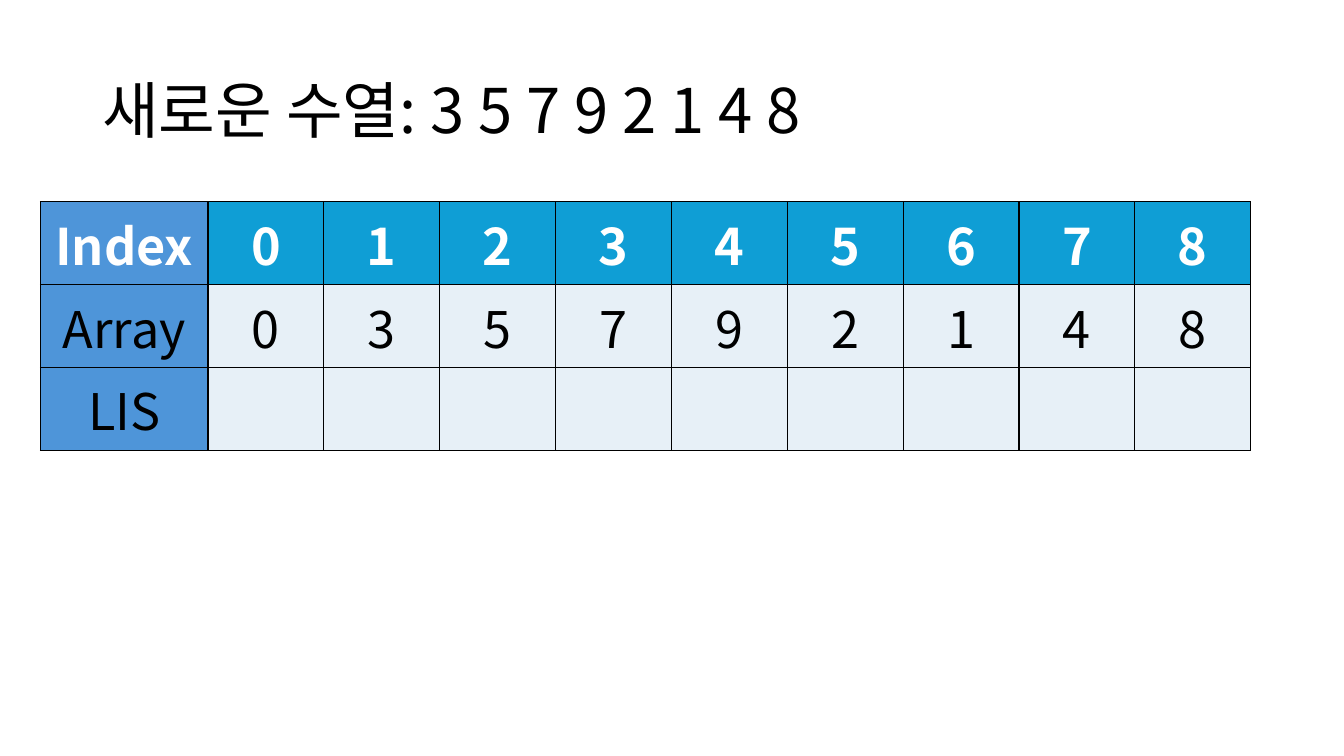
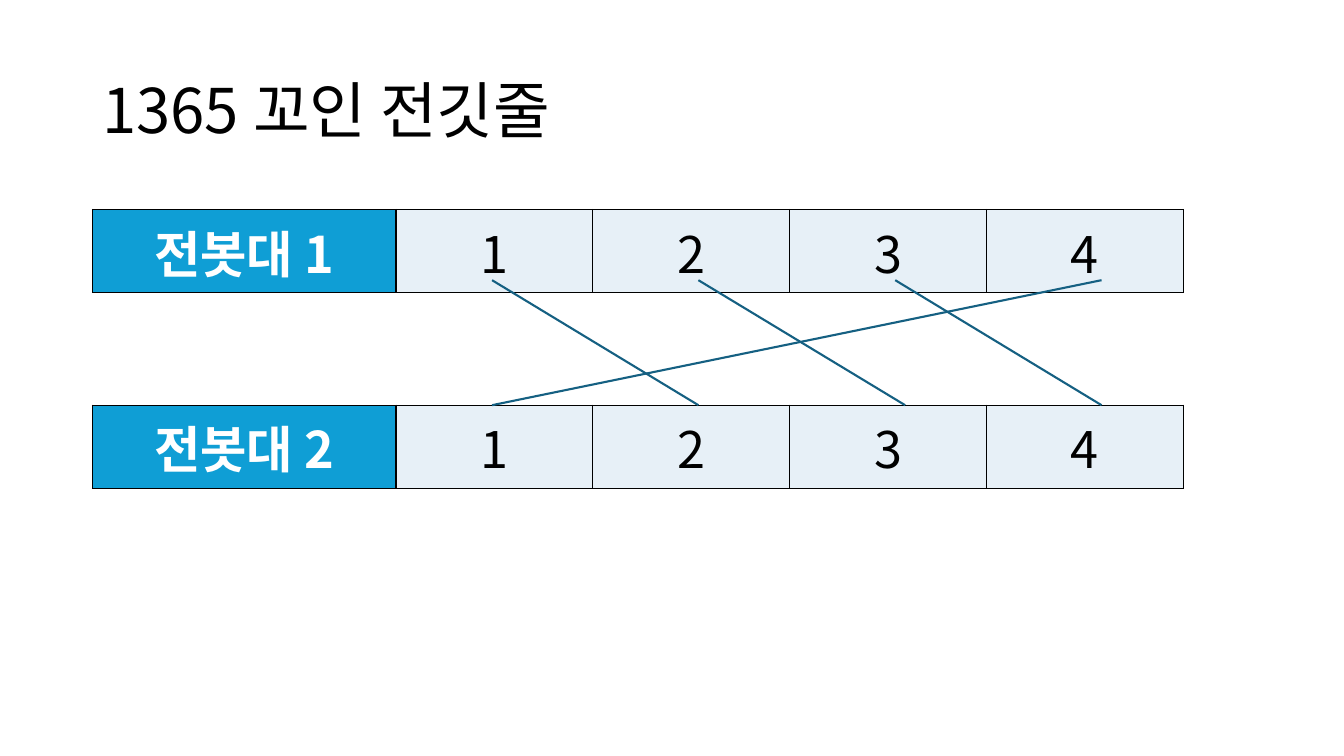
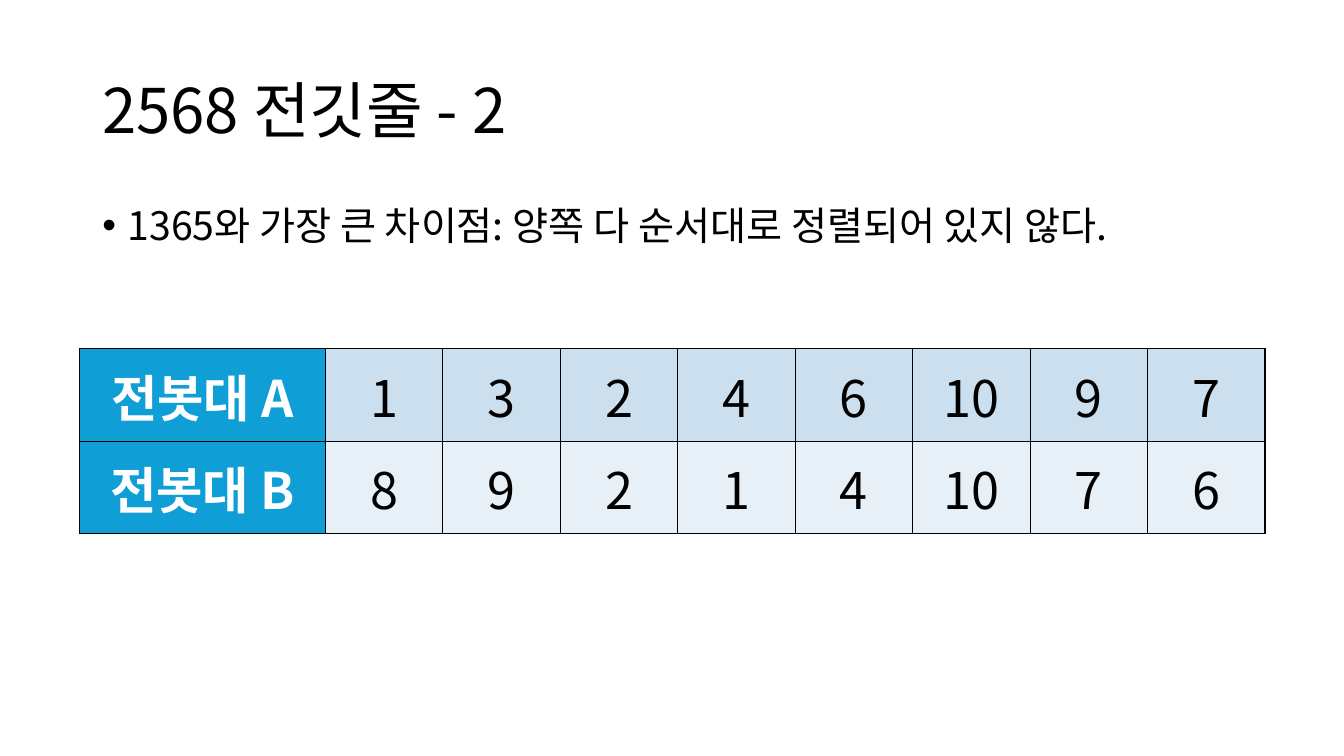
from pptx import Presentation
from pptx.dml.color import RGBColor
from pptx.enum.shapes import MSO_CONNECTOR
from pptx.enum.text import MSO_ANCHOR, PP_ALIGN
from pptx.oxml.ns import qn
from pptx.util import Cm, Pt
from lxml.etree import SubElement

FONT = "Noto Sans CJK KR"
BLACK = RGBColor(0x00, 0x00, 0x00)
WHITE = RGBColor(0xFF, 0xFF, 0xFF)
BLUE = RGBColor(0x0F, 0x9E, 0xD5)
SOFT_BLUE = RGBColor(0x4E, 0x95, 0xD9)
PALE = RGBColor(0xE7, 0xF0, 0xF7)
PALE_DARK = RGBColor(0xCC, 0xDF, 0xEF)
WIRE = RGBColor(0x15, 0x60, 0x82)

MARGIN = 2.33
CONTENT_WIDTH = 29.21
ROW_HEIGHT = 2.09

LIS_ROWS = [
    (["Index", *range(9)], SOFT_BLUE, BLUE, True, True),
    (["Array", 0, 3, 5, 7, 9, 2, 1, 4, 8], SOFT_BLUE, PALE, False, False),
    (["LIS", *[""] * 9], SOFT_BLUE, PALE, False, False),
]
POLES = [("전봇대 1", 5.28), ("전봇대 2", 10.21)]
WIRE_TOP, WIRE_BOTTOM = 7.06, 10.21
WIRE_STARTS = [12.4, 17.6, 22.56, 27.76]
WIRE_ENDS = [17.6, 22.81, 27.76, 12.4]
POLE_ROWS = [
    (["전봇대 A", 1, 3, 2, 4, 6, 10, 9, 7], BLUE, PALE_DARK, True, False),
    (["전봇대 B", 8, 9, 2, 1, 4, 10, 7, 6], BLUE, PALE, True, False),
]


def write(frame, text, size=36, color=BLACK, bold=False, align=PP_ALIGN.LEFT,
          line_spacing=None, bullet=False):
    para = frame.paragraphs[0]
    para.alignment = align
    para.line_spacing = line_spacing
    if bullet:
        properties = para._p.get_or_add_pPr()
        properties.set("marL", str(Cm(0.64)))
        properties.set("indent", str(-Cm(0.64)))
        SubElement(properties, qn("a:buFont"), typeface="Arial")
        SubElement(properties, qn("a:buChar"), char="•")
    span = para.add_run()
    span.text = text
    span.font.name = FONT
    span.font.size = Pt(size)
    span.font.bold = bold
    span.font.color.rgb = color
    SubElement(span._r.get_or_add_rPr(), qn("a:ea"), typeface=FONT)


def add_text(page, text, top, height, anchor=MSO_ANCHOR.TOP, **text_format):
    box = page.shapes.add_textbox(Cm(MARGIN), Cm(top), Cm(CONTENT_WIDTH), Cm(height))
    box.text_frame.word_wrap = True
    box.text_frame.vertical_anchor = anchor
    write(box.text_frame, text, line_spacing=0.9, **text_format)


def add_page(deck, title):
    page = deck.slides.add_slide(deck.slide_layouts[6])
    add_text(page, title, 1.01, 3.68, anchor=MSO_ANCHOR.MIDDLE, size=44)
    return page


def add_borders(cell):
    properties = cell._tc.get_or_add_tcPr()
    for side in ("a:lnL", "a:lnR", "a:lnT", "a:lnB"):
        line = SubElement(properties, qn(side), w=str(Pt(1)))
        fill = SubElement(line, qn("a:solidFill"))
        SubElement(fill, qn("a:srgbClr"), val=str(BLACK))


def add_grid(page, rows, left, top, label_width, value_width, row_height=ROW_HEIGHT):
    widths = [label_width] + [value_width] * (len(rows[0][0]) - 1)
    table = page.shapes.add_table(
        len(rows), len(widths), Cm(left), Cm(top),
        Cm(sum(widths)), Cm(row_height * len(rows))).table
    table.first_row = table.horz_banding = False
    for column, width in zip(table.columns, widths):
        column.width = Cm(width)
    for row_index, (values, label_fill, value_fill, label_bold, value_bold) in enumerate(rows):
        table.rows[row_index].height = Cm(row_height)
        for column_index, value in enumerate(values):
            is_label = column_index == 0
            bold = label_bold if is_label else value_bold
            cell = table.cell(row_index, column_index)
            cell.vertical_anchor = MSO_ANCHOR.MIDDLE
            add_borders(cell)
            cell.fill.solid()
            cell.fill.fore_color.rgb = label_fill if is_label else value_fill
            if value != "":
                write(cell.text_frame, str(value), bold=bold,
                      color=WHITE if bold else BLACK, align=PP_ALIGN.CENTER)


def add_wire(page, start, end):
    wire = page.shapes.add_connector(
        MSO_CONNECTOR.STRAIGHT, Cm(start), Cm(WIRE_TOP), Cm(end), Cm(WIRE_BOTTOM))
    wire.line.color.rgb = WIRE
    wire.line.width = Pt(1.5)
    SubElement(wire._element.spPr, qn("a:effectLst"))


def main():
    deck = Presentation()
    deck.slide_width, deck.slide_height = Cm(33.87), Cm(19.05)

    page = add_page(deck, "새로운 수열: 3 5 7 9 2 1 4 8")
    add_grid(page, LIS_ROWS, 1.02, 5.08, 4.22, 2.92)

    page = add_page(deck, "1365 꼬인 전깃줄")
    for label, top in POLES:
        row = ([label, *range(1, 5)], BLUE, PALE, True, False)
        add_grid(page, [row], MARGIN, top, 7.65, 4.96)
    for start, end in zip(WIRE_STARTS, WIRE_ENDS):
        add_wire(page, start, end)

    page = add_page(deck, "2568 전깃줄 - 2")
    add_text(page, "1365와 가장 큰 차이점: 양쪽 다 순서대로 정렬되어 있지 않다.",
             5.08, 12.09, size=28, bullet=True)
    add_grid(page, POLE_ROWS, 2.01, 8.79, 6.19, 2.96, row_height=2.33)

    deck.save("out.pptx")


if __name__ == "__main__":
    main()
